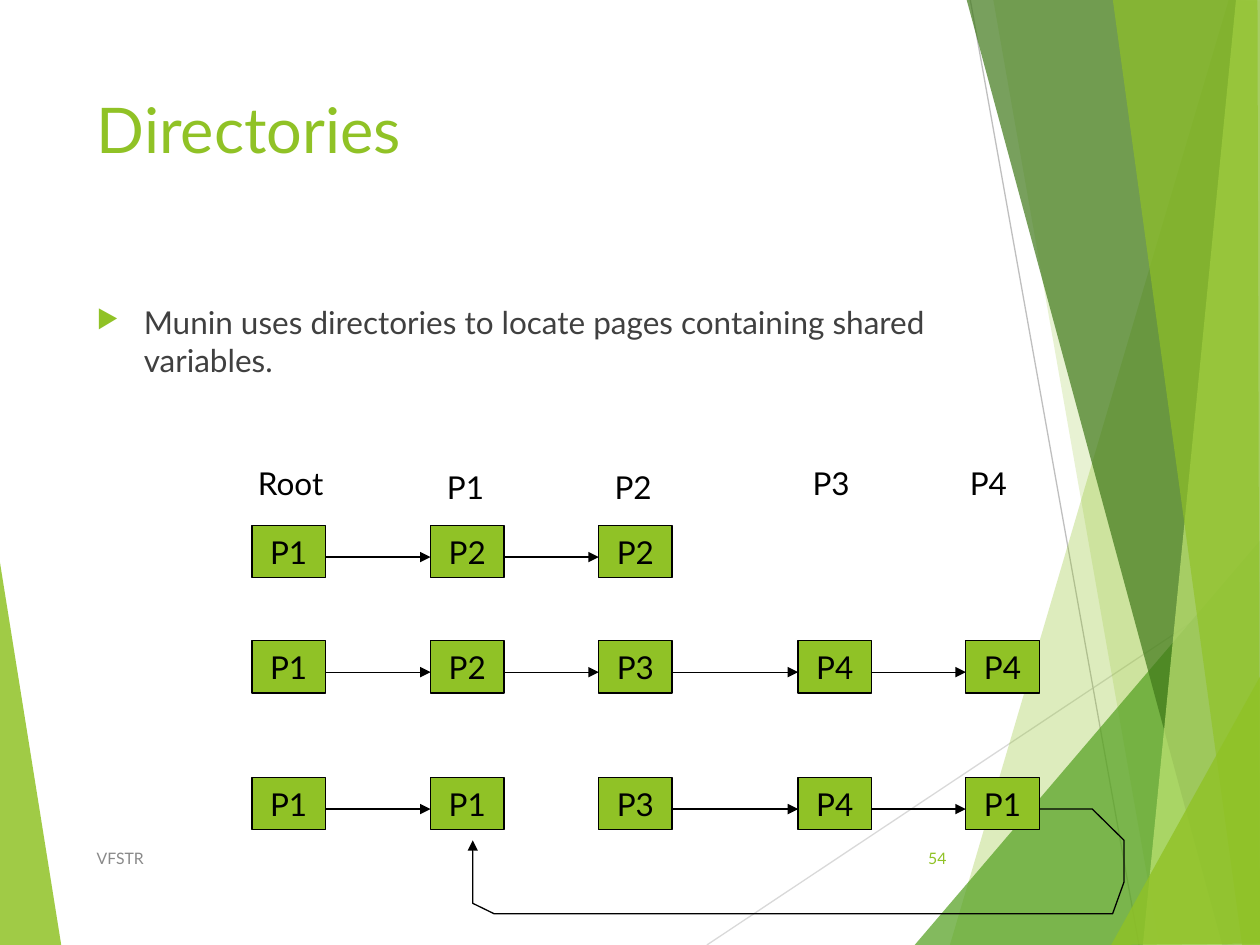
from itertools import chain

from lxml import etree
from pptx import Presentation
from pptx import util as u
from pptx.dml.color import RGBColor
from pptx.enum import shapes, text
from pptx.oxml.ns import qn

GREEN = RGBColor(0x90, 0xC2, 0x26)
LEAF = RGBColor(0x54, 0xA0, 0x21)
FOREST = RGBColor(0x3F, 0x78, 0x19)
LIME = RGBColor(0xC0, 0xE4, 0x74)
BLACK = RGBColor(0, 0, 0)
BODY_GREY = RGBColor(0x40, 0x40, 0x40)
FOOTER_GREY = RGBColor(0x89, 0x89, 0x89)
PALE_GREY = RGBColor(0xD9, 0xD9, 0xD9)
MID_GREY = RGBColor(0xBF, 0xBF, 0xBF)
FONT = "Lato"

WIDTH, HEIGHT = 25.4, 19.05
TOP, RIGHT = -0.03, 25.43

RAYS = [
    ((14.25, HEIGHT), (RIGHT, 11.61), PALE_GREY),
    ((19.56, 0), (22.96, HEIGHT), MID_GREY),
]
LEFT_FACET = ([(-0.03, 11.15), (1.24, 19.08), (-0.03, HEIGHT)], GREEN, 85)
RIGHT_FACETS = [
    ([(24.77, 0), (19.15, HEIGHT), (25.45, 19.08), (RIGHT, 0.03)], GREEN, 30),
    ([(20.02, TOP), (23.37, HEIGHT), (RIGHT, HEIGHT), (RIGHT, TOP)], GREEN, 20),
    ([(18.44, HEIGHT), (25.4, 10.9), (RIGHT, HEIGHT)], LEAF, 72),
    ([(19.48, TOP), (24.64, HEIGHT), (RIGHT, 19.02), (RIGHT, TOP)], FOREST, 70),
    ([(24.92, TOP), (23.04, HEIGHT), (RIGHT, HEIGHT), (25.4, TOP)], LIME, 70),
    ([(22.43, TOP), (25.04, HEIGHT), (25.4, HEIGHT), (25.35, TOP)], GREEN, 65),
    ([(22.4, HEIGHT), (RIGHT, 13.59), (RIGHT, 19.02)], GREEN, 80),
]

PAGE_WIDTH, PAGE_HEIGHT, LINK_DROP = 1.48, 1.06, 0.64
COLUMNS = [0, 3.6, 6.99, 11.01, 14.39]
HEADINGS = [
    ("Root", -0.13, 0, 1.9),
    ("P1", 3.68, 0.1, 1.24),
    ("P2", 7.06, 0.1, 1.24),
    ("P3", 11.05, 0, 1.24),
    ("P4", 14.22, 0, 1.24),
]
CHAINS = [
    (1.37, ["P1", "P2", "P2"], [0, 1]),
    (3.69, ["P1", "P2", "P3", "P4", "P4"], [0, 1, 2, 3]),
    (6.45, ["P1", "P1", "P3", "P4", "P1"], [0, 2, 3]),
]
RETURN_ROUTE = [(15.88, 7.09), (16.94, 7.09), (17.58, 7.72), (17.58, 8.56),
                (17.35, 9.2), (4.88, 9.2), (4.45, 8.99), (4.45, 7.93)]
RETURN_HEAD = ((4.45, 8.56), (4.45, 7.72))


def style_text(frame, wording, size, color, align=text.PP_ALIGN.LEFT,
               anchor=text.MSO_ANCHOR.TOP, wrap=True):
    frame.text = wording
    frame.word_wrap = wrap
    frame.vertical_anchor = anchor
    frame.auto_size = text.MSO_AUTO_SIZE.NONE
    line = frame.paragraphs[0]
    line.alignment = align
    font = line.runs[0].font
    font.name, font.size, font.color.rgb = FONT, u.Pt(size), color
    return line


def add_label(slide, box, *args, **options):
    label = slide.shapes.add_textbox(*map(u.Cm, box))
    return style_text(label.text_frame, *args, **options)


def add_line(slide, origin, start, end, color, arrow=False):
    left, top = origin
    line = slide.shapes.add_connector(
        shapes.MSO_CONNECTOR.STRAIGHT,
        u.Cm(left + start[0]), u.Cm(top + start[1]),
        u.Cm(left + end[0]), u.Cm(top + end[1]))
    line.line.color.rgb = color
    line.line.width = u.Pt(0.75)
    properties = line.element.spPr
    if arrow:
        etree.SubElement(properties.find(qn("a:ln")), qn("a:tailEnd"), type="triangle")
    etree.SubElement(properties, qn("a:effectLst"))


def add_outline(slide, origin, points, close):
    left, top = origin
    start, *rest = [(u.Cm(left + x), u.Cm(top + y)) for x, y in points]
    builder = slide.shapes.build_freeform(*start)
    builder.add_line_segments(rest, close=close)
    outline = builder.convert_to_shape()
    outline.shadow.inherit = False
    return outline


def add_facet(slide, origin, points, color, opacity):
    facet = add_outline(slide, origin, points, True)
    facet.fill.solid()
    facet.fill.fore_color.rgb = color
    facet.line.fill.background()
    tint = facet.element.spPr.find(qn("a:solidFill"))[0]
    etree.SubElement(tint, qn("a:alpha"), val=str(opacity * 1000))


def place_backdrop(slide, left, top):
    origin = left, top
    add_facet(slide, origin, *LEFT_FACET)
    for start, end, color in RAYS:
        add_line(slide, origin, start, end, color)
    for facet in RIGHT_FACETS:
        add_facet(slide, origin, *facet)


def place_title(slide, left, top, width, height):
    title = slide.shapes.title
    title.left, title.top, title.width, title.height = map(
        u.Cm, (left, top, width, height))
    style_text(title.text_frame, "Directories", 36, GREEN)
    title.element.getparent().append(title.element)


def place_statement(slide, left, top, width, height):
    statement = add_label(
        slide, (left, top, width, height),
        "Munin uses directories to locate pages containing shared variables.",
        18, BODY_GREY)
    indent = u.Cm(0.95)
    properties = statement._p.get_or_add_pPr()
    properties.set("marL", str(indent))
    properties.set("indent", str(-indent))
    bullet_color = etree.SubElement(properties, qn("a:buClr"))
    etree.SubElement(bullet_color, qn("a:srgbClr"), val=str(GREEN))
    etree.SubElement(properties, qn("a:buSzPct"), val="80000")
    etree.SubElement(properties, qn("a:buChar"), char="▶")


def add_page(slide, left, top, owner):
    page = slide.shapes.add_shape(
        shapes.MSO_SHAPE.RECTANGLE,
        *map(u.Cm, (left, top, PAGE_WIDTH, PAGE_HEIGHT)))
    page.shadow.inherit = False
    page.fill.solid()
    page.fill.fore_color.rgb = GREEN
    page.line.color.rgb = BLACK
    page.line.width = u.Pt(0.75)
    style_text(page.text_frame, owner, 18, BLACK, text.PP_ALIGN.CENTER,
               text.MSO_ANCHOR.MIDDLE, wrap=False)


def place_directory(slide, left, top):
    origin = left, top
    for heading, x, y, width in HEADINGS:
        add_label(slide, (left + x, top + y, width, 1.02), heading, 18, BLACK,
                  wrap=False)
    for row, owners, links in CHAINS:
        for column, owner in zip(COLUMNS, owners):
            add_page(slide, left + column, top + row, owner)
        for link in links:
            y = row + LINK_DROP
            add_line(slide, origin, (COLUMNS[link] + PAGE_WIDTH, y),
                     (COLUMNS[link + 1], y), BLACK, arrow=True)
    route = add_outline(slide, origin, RETURN_ROUTE, False)
    route.fill.background()
    route.line.color.rgb = BLACK
    route.line.width = u.Pt(0.75)
    add_line(slide, origin, *RETURN_HEAD, BLACK, arrow=True)


def place_footer(slide, left, top, width, height):
    number_width = 1.42
    middle = text.MSO_ANCHOR.MIDDLE
    add_label(slide, (left, top, 12.85, height), "VFSTR", 9, FOOTER_GREY,
              anchor=middle)
    add_label(slide, (left + width - number_width, top, number_width, height),
              "54", 9, GREEN, text.PP_ALIGN.RIGHT, middle)


def main():
    deck = Presentation()
    deck.slide_width, deck.slide_height = u.Cm(WIDTH), u.Cm(HEIGHT)
    slide = deck.slides.add_slide(deck.slide_layouts[5])
    place_backdrop(slide, 0, 0)
    place_title(slide, 1.7, 1.7, 17.63, 3.66)
    place_statement(slide, 1.7, 5.99, 17.63, 10.77)
    place_directory(slide, 5.08, 9.22)
    place_footer(slide, 1.7, 16.79, 17.63, 1.02)
    deck.save("out.pptx")


if __name__ == "__main__":
    main()
